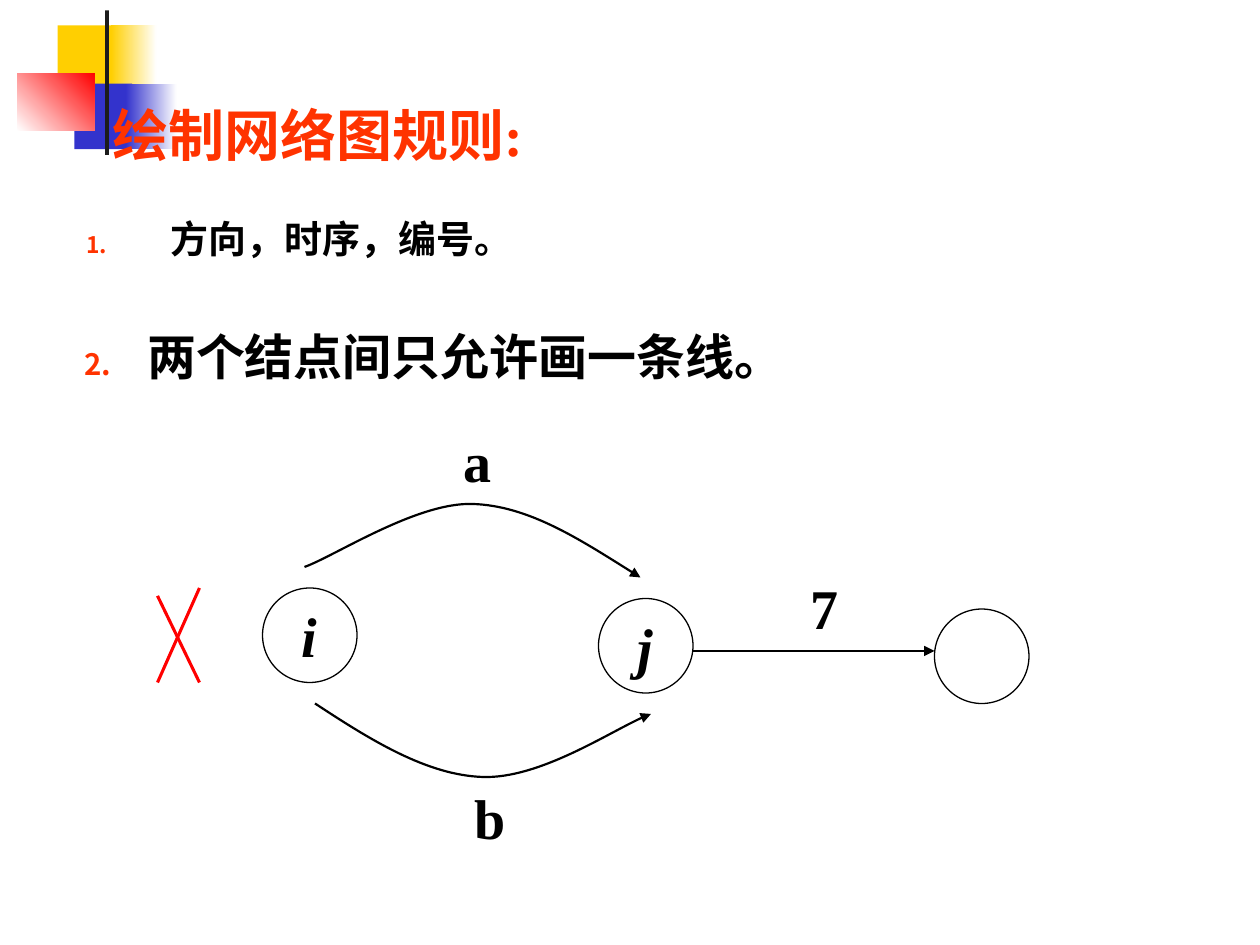
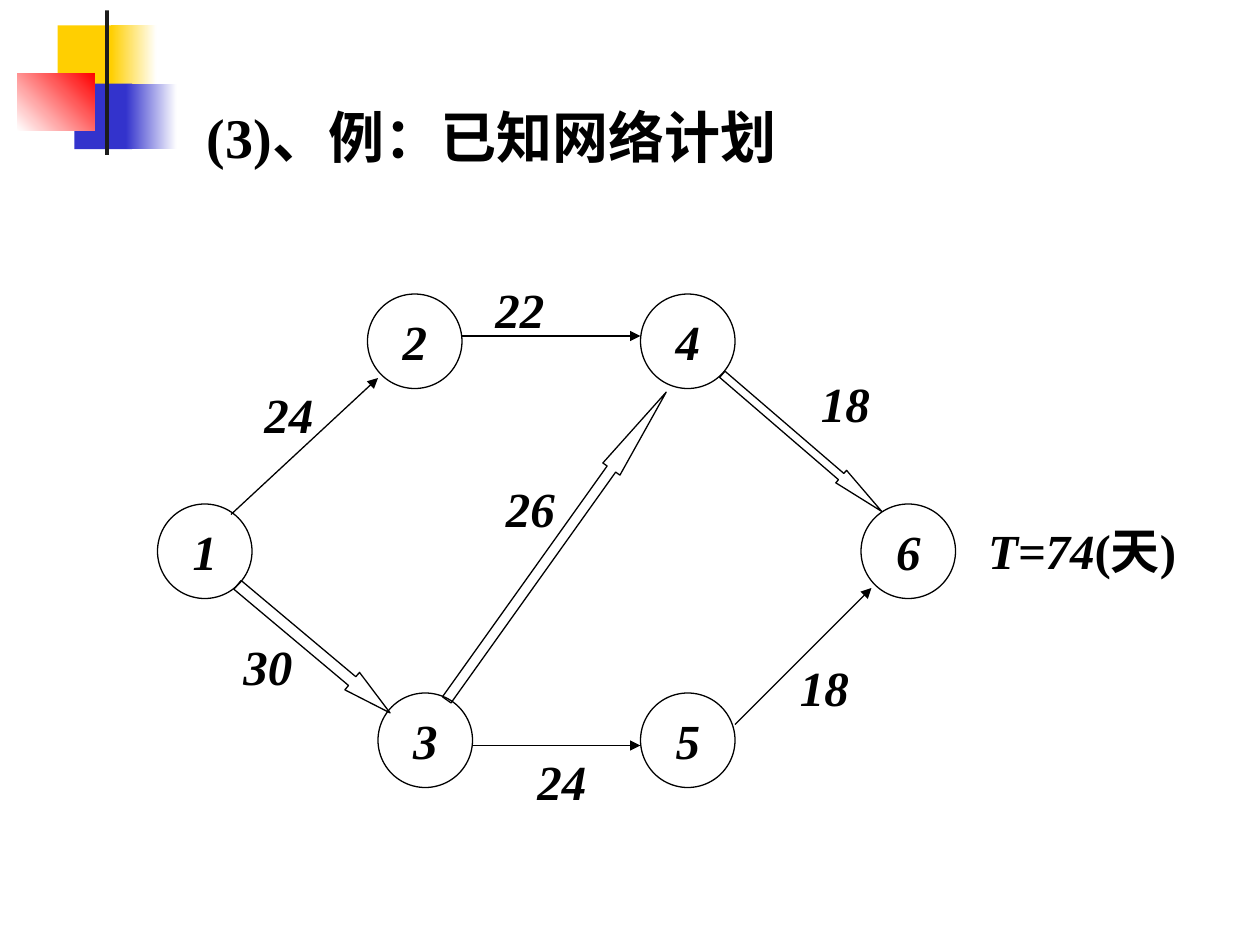
from lxml import etree
from pptx import Presentation
from pptx.dml.color import RGBColor
from pptx.enum.shapes import MSO_CONNECTOR, MSO_SHAPE
from pptx.enum.text import MSO_ANCHOR, MSO_AUTO_SIZE, PP_ALIGN
from pptx.oxml.ns import qn
from pptx.util import Pt

BLACK = RGBColor(0x00, 0x00, 0x00)
WHITE = RGBColor(0xFF, 0xFF, 0xFF)
RED = RGBColor(0xFF, 0x00, 0x00)
ORANGE = RGBColor(0xFF, 0x33, 0x00)
YELLOW = RGBColor(0xFF, 0xCF, 0x01)
BLUE = RGBColor(0x33, 0x33, 0xCC)
CHARCOAL = RGBColor(0x1C, 0x1C, 0x1C)

RECT, OVAL, ARROW = MSO_SHAPE.RECTANGLE, MSO_SHAPE.OVAL, MSO_SHAPE.RIGHT_ARROW
STRAIGHT = MSO_CONNECTOR.STRAIGHT
TOP, MIDDLE = MSO_ANCHOR.TOP, MSO_ANCHOR.MIDDLE
LEFT, CENTER = PP_ALIGN.LEFT, PP_ALIGN.CENTER
FIXED = MSO_AUTO_SIZE.NONE

SERIF, SANS = "Times New Roman", "Karla"
TITLE_CONTENT, TITLE_ONLY = 1, 5
NODE = 54  # circle diameter

# left, top, width, height, colours from start to end, gradient angle
CORNER_BLOCKS = [
    (33, 14.5, 34.5, 37.5, (YELLOW,), 0),
    (63.5, 14.5, 26, 37.5, (YELLOW, WHITE), 0),
    (42.5, 47.75, 33, 37.5, (BLUE,), 0),
    (72, 47.75, 29, 37.5, (BLUE, WHITE), 0),
    (10, 41.75, 44, 33, (WHITE, RED), 45),
    (60, 6, 2.25, 82.5, (CHARCOAL,), 0),
]


class Deck:
    """Keeps the shared style and the slide being filled."""

    def __init__(self):
        self.prs = Presentation()
        self.prs.slide_width, self.prs.slide_height = Pt(720), Pt(540)
        self.slide = None

    def new_slide(self, layout):
        self.slide = self.prs.slides.add_slide(self.prs.slide_layouts[layout])
        for *box, colors, angle in CORNER_BLOCKS:
            self.block(box, colors, angle)
        # Placeholders belong in front of the corner blocks.
        for ph in list(self.slide.placeholders):
            self.slide.shapes._spTree.append(ph._element)

    def shape(self, preset, box):
        sp = self.slide.shapes.add_shape(preset, *map(Pt, box))
        sp.shadow.inherit = False
        return sp

    def block(self, box, colors, angle):
        sp = self.shape(RECT, box)
        sp.line.fill.background()
        if len(colors) == 1:
            sp.fill.solid()
            sp.fill.fore_color.rgb = colors[0]
            return
        sp.fill.gradient()
        sp.fill.gradient_angle = angle
        for stop, color in zip(sp.fill.gradient_stops, colors):
            stop.color.rgb = color

    def outline(self, sp, width=0.75):
        sp.fill.background()
        self.stroke(sp, BLACK, width)

    def stroke(self, sp, color, width, arrow=False):
        sp.line.color.rgb = color
        sp.line.width = Pt(width)
        if arrow:
            ln = sp.line._get_or_add_ln()
            etree.SubElement(ln, qn("a:tailEnd"), type="triangle")

    def set_text(self, sp, runs, size, color=BLACK, font=SERIF, wrap=False,
                 align=LEFT, anchor=TOP):
        """Fill a shape with one paragraph of (text, italic) runs."""
        tf = sp.text_frame
        tf.auto_size, tf.word_wrap, tf.vertical_anchor = FIXED, wrap, anchor
        p = tf.paragraphs[0]
        p.alignment, p.space_before = align, Pt(0)
        for text, italic in runs:
            r = p.add_run()
            r.text = text
            f = r.font
            f.name, f.size, f.bold, f.italic = font, Pt(size), True, italic
            f.color.rgb = color
        return p

    def place(self, sp, box):
        sp.left, sp.top, sp.width, sp.height = map(Pt, box)
        return sp

    def title(self, text, box, color=BLACK, spacing=1.0):
        sp = self.place(self.slide.shapes.title, box)
        self.set_text(sp, [(text, False)], 32, color).line_spacing = spacing

    def textbox(self, box):
        return self.slide.shapes.add_textbox(*map(Pt, box))

    def label(self, runs, box, size):
        self.set_text(self.textbox(box), runs, size)

    def numbered(self, sp, number, text, size, font, indent):
        p = self.set_text(sp, [(text, False)], size, font=font, wrap=True)
        pPr = p._p.get_or_add_pPr()
        pPr.set("marL", str(Pt(indent)))
        pPr.set("indent", str(-Pt(indent)))
        color = etree.SubElement(pPr, qn("a:buClr"))
        etree.SubElement(color, qn("a:srgbClr"), val=str(ORANGE))
        etree.SubElement(pPr, qn("a:buSzPct"), val="60000")
        etree.SubElement(pPr, qn("a:buFont"), typeface=SANS)
        etree.SubElement(pPr, qn("a:buAutoNum"), type="arabicPeriod",
                         startAt=str(number))

    def node(self, x, y, text="", size=28):
        sp = self.shape(OVAL, (x, y, NODE, NODE))
        self.outline(sp)
        if text:
            tf = sp.text_frame
            tf.margin_left = tf.margin_right = Pt(0)
            tf.margin_top = tf.margin_bottom = Pt(0)
            self.set_text(sp, [(text, True)], size, align=CENTER,
                          anchor=MIDDLE)

    def line(self, start, end, color=BLACK, width=0.75, arrow=True):
        c = self.slide.shapes.add_connector(STRAIGHT, *map(Pt, start + end))
        self.stroke(c, color, width, arrow)
        etree.SubElement(c._element.spPr, qn("a:effectLst"))

    def block_arrow(self, box, rotation, head):
        sp = self.shape(ARROW, box)
        sp.adjustments[0], sp.adjustments[1] = 0.5, head
        sp.rotation = rotation
        self.outline(sp)

    def curve(self, points):
        """Draw joined Bezier arcs: a start, then two controls and an end each."""
        anchors = points[::3]
        left, top = (min(values) for values in zip(*anchors))
        builder = self.slide.shapes.build_freeform(*anchors[0], scale=Pt(1))
        builder.add_line_segments(anchors[1:], close=False)
        sp = builder.convert_to_shape()
        sp.shadow.inherit = False
        outline = next(sp._element.iter(qn("a:path")))
        for i, segment in enumerate(outline.findall(qn("a:lnTo"))):
            outline.remove(segment)
            arc = etree.SubElement(outline, qn("a:cubicBezTo"))
            for x, y in points[3 * i + 1:3 * i + 4]:
                etree.SubElement(arc, qn("a:pt"), x=str(x - left),
                                 y=str(y - top))
        sp.fill.background()
        self.stroke(sp, BLACK, 1.25, arrow=True)


def drawing_rules(deck):
    deck.new_slide(TITLE_CONTENT)
    deck.title("绘制网络图规则:", (57, 54, 257, 46), ORANGE)
    body = deck.place(deck.slide.placeholders[1], (42, 119.5, 567, 35))
    deck.numbered(body, 1, "方向，时序，编号。", 21.7, SANS, 48)
    second = deck.textbox((41, 183, 414, 41))
    deck.numbered(second, 2, "两个结点间只允许画一条线。", 28, SERIF, 36)

    for x, y, text in [(150, 336, "i"), (342, 342, "j"), (534, 348, "")]:
        deck.node(x, y, text, 32)
    for x, y, text in [(258, 240, "a"), (264, 444, "b"), (456, 324, "7")]:
        deck.label([(text, False)], (x, y, 32, 46), 32)
    deck.curve([(174, 324), (191, 318), (238, 287), (270, 288),
                (302, 289), (334, 310), (366, 330)])
    deck.curve([(180, 402), (212, 423), (244, 443), (276, 444),
                (308, 445), (355, 414), (372, 408)])
    deck.line((396, 372), (534, 372), width=1.25)
    for start, end in [((114, 336), (90, 390)), ((90, 340.5), (114, 390))]:
        deck.line(start, end, RED, 1.75, arrow=False)


def network_example(deck):
    deck.new_slide(TITLE_ONLY)
    deck.title("(3)、例：已知网络计划", (111, 36, 435, 65), spacing=1.5)

    nodes = [(90, 288), (210, 168), (216, 396),
             (366, 168), (366, 396), (492, 288)]
    for number, (x, y) in enumerate(nodes, 1):
        deck.node(x, y, str(number))

    for start, end in [((132, 294), (216, 216)), ((264, 192), (366, 192)),
                       ((270, 426), (366, 426)), ((420, 414), (498, 336))]:
        deck.line(start, end)

    critical_path = [((122.4, 364.3, 113.8, 13), 40, 2.17),
                     ((210, 306, 216, 12), 305.5, 4.5),
                     ((398.2, 248.4, 120.2, 9.4), 40.7, 3.25)]
    for box, rotation, head in critical_path:
        deck.block_arrow(box, rotation, head)

    durations = [(144, 216, "24"), (132, 360, "30"), (276, 156, "22"),
                 (282, 270, "26"), (300, 426, "24"), (462, 210, "18"),
                 (450, 372, "18")]
    for x, y, days in durations:
        deck.label([(days, True)], (x, y, 42.5, 41), 28)
    deck.label([("T=74", True), ("(天)", False)], (557.5, 294, 135, 41), 28)


def main():
    deck = Deck()
    drawing_rules(deck)
    network_example(deck)
    deck.prs.save("out.pptx")


if __name__ == "__main__":
    main()
